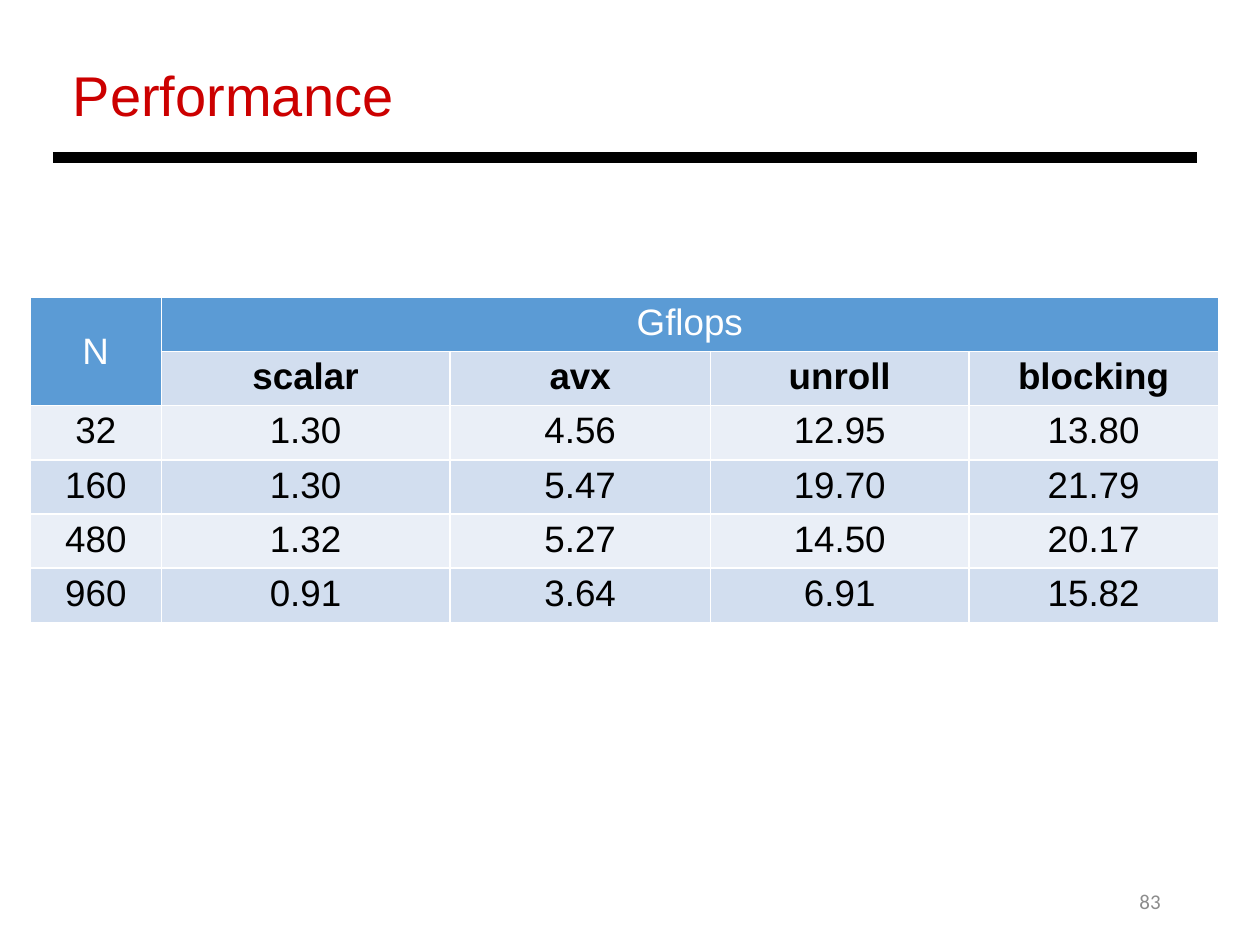
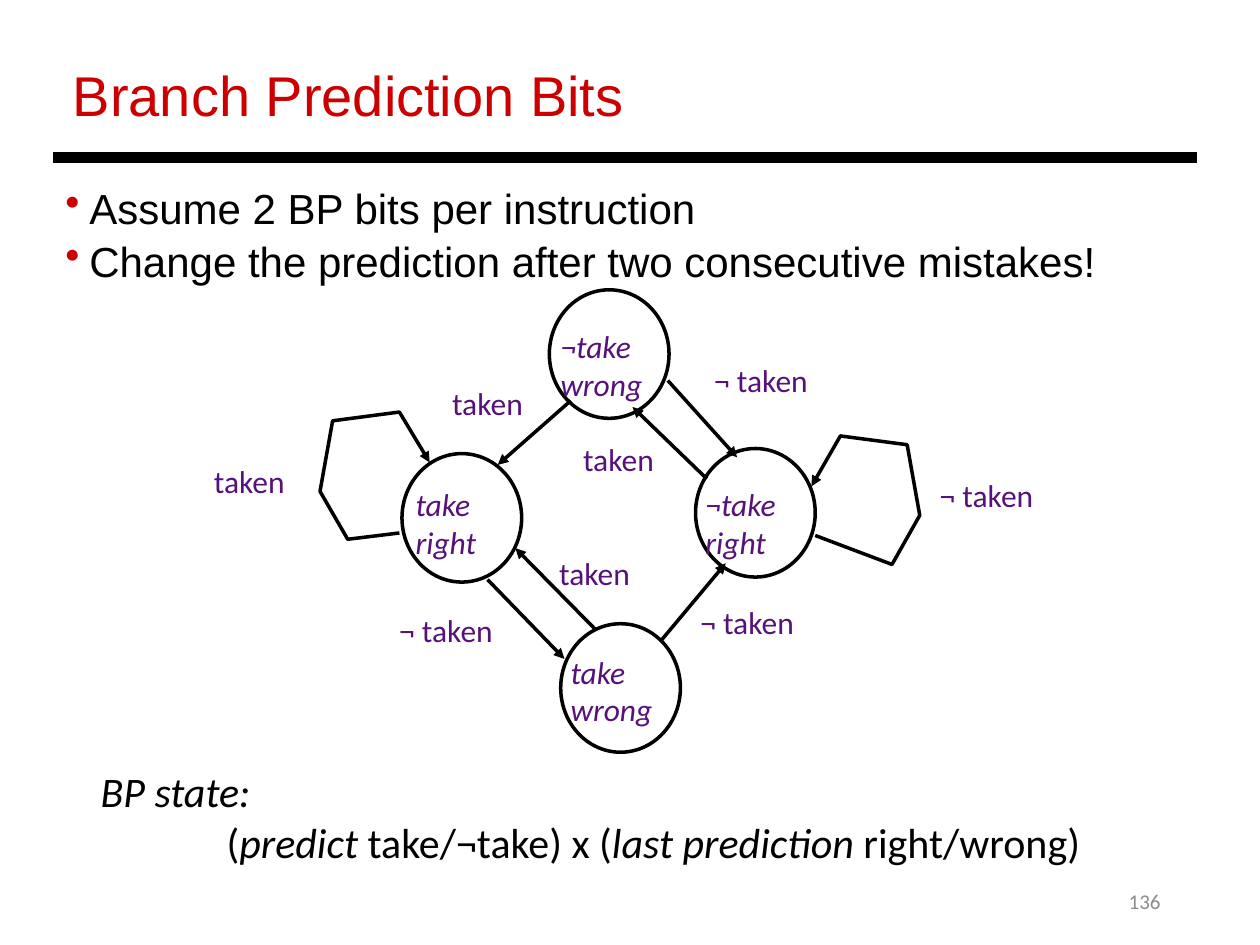
"""Build two lecture slides: a performance table and a branch prediction state diagram."""
from dataclasses import dataclass

from lxml import etree
from pptx import Presentation
from pptx.dml.color import RGBColor
from pptx.enum.shapes import MSO_CONNECTOR, MSO_SHAPE
from pptx.enum.text import MSO_ANCHOR, PP_ALIGN
from pptx.oxml.ns import qn
from pptx.util import Emu, Pt

PX = 9144


@dataclass(frozen=True)
class TextStyle:
    size: int
    color: str
    font: str = "Arial"
    italic: bool = False
    bold: bool = False


@dataclass(frozen=True)
class Theme:
    black: str = "000000"
    white: str = "FFFFFF"
    bullet: str = "CC0000"
    header_fill: str = "5B9BD5"
    band_fills: tuple = ("EAEFF7", "D2DEEF")
    rule_width: int = 6
    diagram_width: int = 2
    border_width: int = 1
    title: TextStyle = TextStyle(32, "CC0000")
    number: TextStyle = TextStyle(12, "8C8C8C", "Calibri")
    body: TextStyle = TextStyle(24, "000000")
    formula: TextStyle = TextStyle(24, "000000", "Calibri")
    state: TextStyle = TextStyle(18, "56127A", "Calibri", italic=True)
    event: TextStyle = TextStyle(18, "56127A", "Calibri")
    header: TextStyle = TextStyle(21, "FFFFFF")
    subheader: TextStyle = TextStyle(21, "000000", bold=True)
    value: TextStyle = TextStyle(21, "000000")


def px(*lengths):
    return [Emu(length * PX) for length in lengths]


def apply(target, values):
    for name, value in values.items():
        setattr(target, name, value)


def solid(fill, color):
    fill.solid()
    fill.fore_color.rgb = RGBColor.from_string(color)


class Deck:
    def __init__(self, theme):
        self.theme = theme
        self.presentation = Presentation()
        apply(self.presentation, dict(zip(("slide_width", "slide_height"), px(1000, 750))))
        self.slide = None

    def add_slide(self, title, number):
        self.slide = self.presentation.slides.add_slide(self.presentation.slide_layouts[6])
        self.text((706, 695, 225, 40), [str(number)], self.theme.number,
                  align=PP_ALIGN.RIGHT, anchor=MSO_ANCHOR.MIDDLE)
        self.text((48, 43, 878, 64), [title], self.theme.title)
        self.line((42, 125), (950, 125), self.theme.rule_width)

    def add_runs(self, paragraph, content, style):
        runs = [(content, style.italic)] if isinstance(content, str) else content
        for words, italic in runs:
            run = paragraph.add_run()
            run.text = words
            apply(run.font, {"size": Pt(style.size), "name": style.font,
                             "italic": italic, "bold": style.bold})
            run.font.color.rgb = RGBColor.from_string(style.color)

    def text(self, box, contents, style, align=PP_ALIGN.LEFT, anchor=MSO_ANCHOR.TOP):
        frame = self.slide.shapes.add_textbox(*px(*box)).text_frame
        apply(frame, {"word_wrap": True, "vertical_anchor": anchor})
        for index, content in enumerate(contents):
            paragraph = frame.add_paragraph() if index else frame.paragraphs[0]
            paragraph.alignment = align
            self.add_runs(paragraph, content, style)
        return frame.paragraphs

    def bullets(self, box, contents):
        paragraphs = self.text(box, contents, self.theme.body)
        for paragraph in paragraphs:
            properties = self.indent(paragraph, 19, -19)
            color = etree.SubElement(properties, qn("a:buClr"))
            etree.SubElement(color, qn("a:srgbClr"), val=self.theme.bullet)
            etree.SubElement(properties, qn("a:buChar"), char="•")
        for paragraph in paragraphs[1:]:
            paragraph.space_before = Pt(1.6)

    def indent(self, paragraph, left, first=0):
        properties = paragraph._p.get_or_add_pPr()
        properties.set("marL", str(left * PX))
        properties.set("indent", str(first * PX))
        return properties

    def stroke(self, shape, width, arrow=False):
        shape.line.width = Pt(width)
        solid(shape.line.fill, self.theme.black)
        if arrow:
            outline = shape.element.spPr.find(qn("a:ln"))
            etree.SubElement(outline, qn("a:tailEnd"), type="triangle")

    def line(self, start, end, width, arrow=False):
        connector = self.slide.shapes.add_connector(MSO_CONNECTOR.STRAIGHT, *px(*start, *end))
        self.stroke(connector, width, arrow)
        etree.SubElement(connector.element.spPr, qn("a:effectLst"))

    def loop(self, points):
        builder = self.slide.shapes.build_freeform(*points[0], scale=PX)
        builder.add_line_segments(points[1:], close=False)
        shape = builder.convert_to_shape()
        shape.shadow.inherit = False
        shape.fill.background()
        self.stroke(shape, self.theme.diagram_width, arrow=True)

    def circle(self, left, top):
        shape = self.slide.shapes.add_shape(MSO_SHAPE.OVAL, *px(left, top, 95, 102))
        shape.shadow.inherit = False
        solid(shape.fill, self.theme.white)
        self.stroke(shape, self.theme.diagram_width)

    def cell(self, cell, content, style, fill):
        margin_x, margin_y = px(10, 4)
        apply(cell, {"margin_left": margin_x, "margin_right": margin_x,
                     "margin_top": margin_y, "margin_bottom": margin_y})
        solid(cell.fill, fill)
        properties = cell._tc.get_or_add_tcPr()
        for index, side in enumerate(("lnL", "lnR", "lnT", "lnB")):
            border = etree.Element(qn(f"a:{side}"), w=str(Pt(self.theme.border_width)))
            paint = etree.SubElement(border, qn("a:solidFill"))
            etree.SubElement(paint, qn("a:srgbClr"), val=self.theme.white)
            properties.insert(index, border)
        paragraph = cell.text_frame.paragraphs[0]
        paragraph.alignment = PP_ALIGN.CENTER
        if content:
            self.add_runs(paragraph, content, style)

    def table(self, box, widths, rows):
        theme = self.theme
        table = self.slide.shapes.add_table(len(rows), len(widths), *px(*box)).table
        for column, width in zip(table.columns, px(*widths)):
            column.width = width
        for row_index, row in enumerate(rows):
            for column_index, content in enumerate(row):
                is_header = row_index == 0 or (row_index == 1 and column_index == 0)
                style = theme.header if is_header else (
                    theme.subheader if row_index == 1 else theme.value)
                fill = theme.header_fill if is_header else theme.band_fills[row_index % 2]
                self.cell(table.cell(row_index, column_index), content, style, fill)
        return table


def add_performance(deck):
    deck.add_slide("Performance", 83)
    table = deck.table((24, 236, 943, 255), (104, 229, 207, 205, 198), [
        ("N", "Gflops", "", "", ""),
        ("", "scalar", "avx", "unroll", "blocking"),
        ("32", "1.30", "4.56", "12.95", "13.80"),
        ("160", "1.30", "5.47", "19.70", "21.79"),
        ("480", "1.32", "5.27", "14.50", "20.17"),
        ("960", "0.91", "3.64", "6.91", "15.82"),
    ])
    table.cell(0, 0).merge(table.cell(1, 0))
    table.cell(0, 0).vertical_anchor = MSO_ANCHOR.MIDDLE
    table.cell(0, 1).merge(table.cell(0, 4))


def add_branch_prediction(deck):
    theme = deck.theme
    deck.add_slide("Branch Prediction Bits", 136)
    deck.bullets((42, 140, 928, 91), [
        "Assume 2 BP bits per instruction",
        "Change the prediction after two consecutive mistakes!",
    ])

    states = [
        ((319, 360), (320, 380), ("take", "right")),
        ((552, 356), (550, 380), ("¬take", "right")),
        ((445, 495), (443, 513), ("take", "wrong")),
        ((436, 230), (435, 255), ("¬take", "wrong")),
    ]
    for circle, _, _ in states:
        deck.circle(*circle)

    for start, end in [
        ((387, 460), (448, 523)), ((473, 500), (409, 435)), ((525, 508), (576, 447)),
        ((561, 380), (502, 323)), ((453, 318), (395, 369)), ((530, 302), (585, 363)),
    ]:
        deck.line(start, end, theme.diagram_width, arrow=True)
    deck.loop([(317, 423), (276, 428), (254, 390), (264, 334), (317, 327), (341, 367)])
    deck.loop([(647, 425), (708, 448), (730, 409), (720, 353), (667, 346), (644, 386)])

    for _, label, words in states:
        deck.text((*label, 109, 70), words, theme.state)
    events = {
        "taken": [(349, 300), (160, 362), (434, 435), (453, 344)],
        "¬ taken": [(557, 282), (736, 373), (546, 474), (307, 480)],
    }
    for event, places in events.items():
        for place in places:
            deck.text((*place, 133, 40), [event], theme.event)

    formula = deck.text((70, 603, 820, 91), [
        [("BP state:", True)],
        [("(", False), ("predict", True), (" take/¬take) x (", False),
         ("last prediction", True), (" right/wrong)", False)],
    ], theme.formula)
    deck.indent(formula[1], 100)


def main():
    deck = Deck(Theme())
    add_performance(deck)
    add_branch_prediction(deck)
    deck.presentation.save("out.pptx")


if __name__ == "__main__":
    main()
